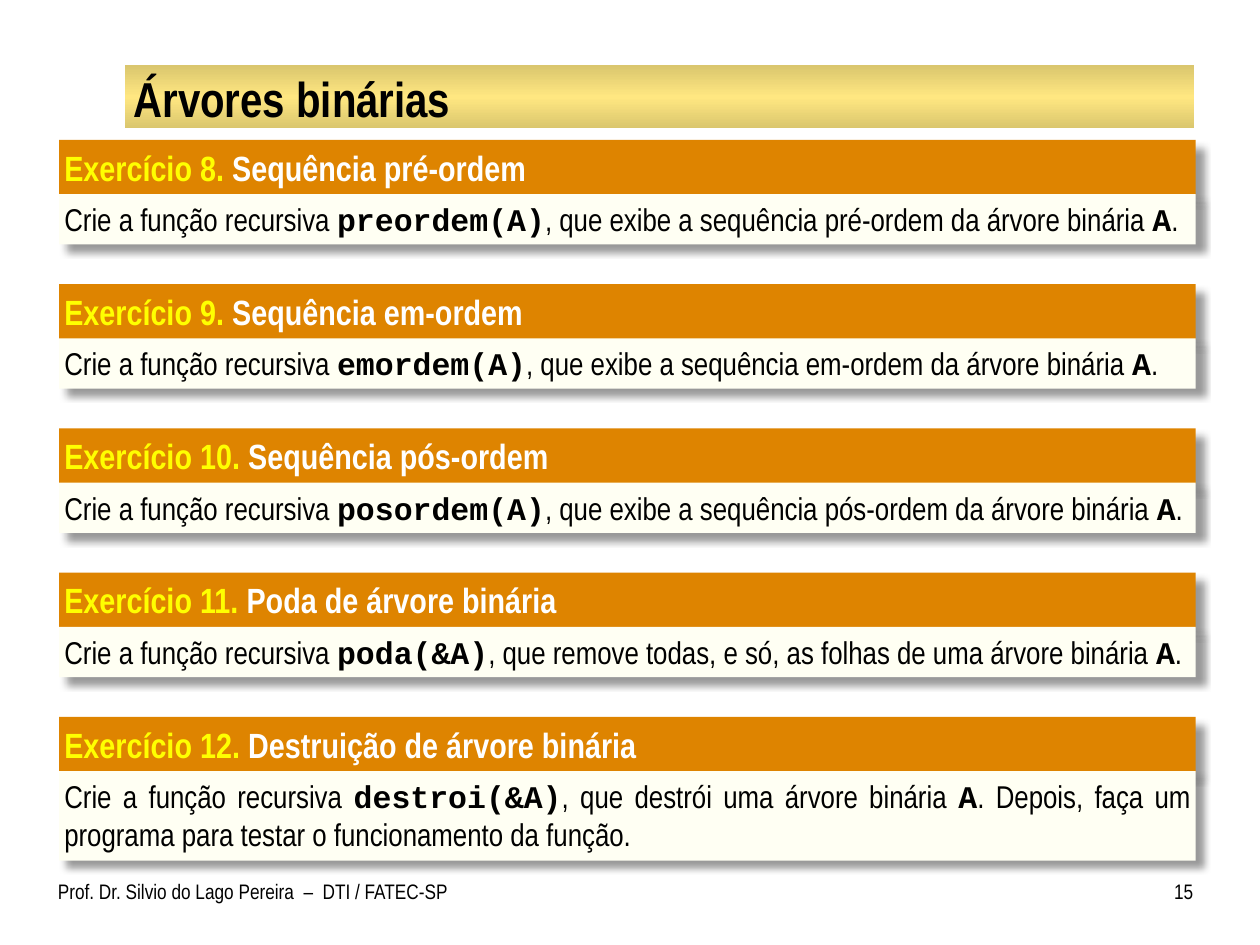
from lxml import etree
from pptx import Presentation
from pptx.dml.color import RGBColor
from pptx.enum.shapes import MSO_SHAPE
from pptx.enum.text import MSO_ANCHOR, MSO_AUTO_SIZE, PP_ALIGN
from pptx.oxml import parse_xml
from pptx.util import Inches, Pt

RECTANGLE = MSO_SHAPE.RECTANGLE
TOP, MIDDLE = MSO_ANCHOR.TOP, MSO_ANCHOR.MIDDLE
LEFT, RIGHT, JUSTIFY = PP_ALIGN.LEFT, PP_ALIGN.RIGHT, PP_ALIGN.JUSTIFY
NO_FIT = MSO_AUTO_SIZE.NONE
TITLE_ONLY = 5
DRAWING = "http://schemas.openxmlformats.org/drawingml/2006/main"
SANS, MONO = "Arial Narrow", "Courier New"
BLACK, WHITE, YELLOW, ORANGE, IVORY = "000000", "FFFFFF", "FFFF00", "DE8400", "FFFFF3"
GOLD_STOPS = [(0, "DAC66E"), (50, "FFE781"), (100, "DAC66E")]

TITLE = "Árvores binárias"
FOOTER = "Prof. Dr. Silvio do Lago Pereira  –  DTI / FATEC-SP"
PAGE = "15"
INTRO = "Crie a função recursiva "
EXERCISES = [
    ("Sequência pré-ordem", "preordem(A)",
     ", que exibe a sequência pré-ordem da árvore binária ", "."),
    ("Sequência em-ordem", "emordem(A)",
     ", que exibe a sequência em-ordem da árvore binária ", "."),
    ("Sequência pós-ordem", "posordem(A)",
     ", que exibe a sequência pós-ordem da árvore binária ", "."),
    ("Poda de árvore binária", "poda(&A)",
     ", que remove todas, e só, as folhas de uma árvore binária ", "."),
    ("Destruição de árvore binária", "destroi(&A)",
     ", que destrói uma árvore binária ",
     ". Depois, faça um programa para testar o funcionamento da função."),
]
FIRST_NUMBER = 8
CARD_LEFT, CARD_WIDTH = 0.47, 9.02
FIRST_TOP, LAST_TOP = 1.11, 5.69
PITCH = (LAST_TOP - FIRST_TOP) / (len(EXERCISES) - 1)
HEADER_HEIGHT, BODY_OFFSET = 0.44, 0.43
BODY_HEIGHT, LAST_BODY_HEIGHT = 0.4, 0.71


def color(value):
    return RGBColor.from_string(value)


def place(shape, box):
    shape.left, shape.top, shape.width, shape.height = map(Inches, box)


def write(shape, runs, size, insets, align=LEFT, anchor=TOP):
    frame = shape.text_frame
    frame.word_wrap = True
    frame.auto_size = NO_FIT
    frame.vertical_anchor = anchor
    (frame.margin_left, frame.margin_top,
     frame.margin_right, frame.margin_bottom) = map(Inches, insets)
    paragraph = frame.paragraphs[0]
    paragraph.alignment = align
    paragraph.font.size = Pt(size)
    for text, font, bold, fill in runs:
        run = paragraph.add_run()
        run.text = text
        run.font.name = font
        run.font.bold = bold
        run.font.color.rgb = color(fill)
    return paragraph


def add_rectangle(slide, box):
    shape = slide.shapes.add_shape(RECTANGLE, *map(Inches, box))
    shape.shadow.inherit = False
    shape.line.fill.background()
    return shape


def add_panel(slide, box, fill):
    shape = add_rectangle(slide, box)
    shape.fill.solid()
    shape.fill.fore_color.rgb = color(fill)
    effects = shape.element.spPr.find(f"{{{DRAWING}}}effectLst")
    effects.append(parse_xml(
        f'<a:outerShdw xmlns:a="{DRAWING}" blurRad="{Pt(4)}" dist="{Pt(6)}" '
        'dir="2700000" algn="tl" rotWithShape="0">'
        f'<a:srgbClr val="{BLACK}"><a:alpha val="40000"/></a:srgbClr></a:outerShdw>'))
    return shape


def add_title(slide):
    band = add_rectangle(slide, (0.99, 0.52, 8.49, 0.5))
    band.fill.gradient()
    band.fill.gradient_angle = 270
    stops = band.element.spPr.find(f".//{{{DRAWING}}}gsLst")
    for stop in list(stops):
        stops.remove(stop)
    for position, value in GOLD_STOPS:
        stop = etree.SubElement(stops, f"{{{DRAWING}}}gs", pos=str(position * 1000))
        etree.SubElement(stop, f"{{{DRAWING}}}srgbClr", val=value)
    title = slide.shapes.title
    title.element.addprevious(band.element)
    place(title, (1, 0.54, 8.47, 0.47))
    write(title, [(TITLE, SANS, True, BLACK)], 28, (0.06, 0.01, 0.06, 0.01), anchor=MIDDLE)


def add_exercise(slide, index, exercise):
    name, function, task, ending = exercise
    top = FIRST_TOP + index * PITCH
    is_last = index == len(EXERCISES) - 1
    header = add_panel(slide, (CARD_LEFT, top, CARD_WIDTH, HEADER_HEIGHT), ORANGE)
    write(header, [(f"Exercício {FIRST_NUMBER + index}.", SANS, True, YELLOW),
                   (f" {name}", SANS, True, WHITE)], 20, (0.04, 0.05, 0.1, 0.05))
    body_height = LAST_BODY_HEIGHT if is_last else BODY_HEIGHT
    body = add_panel(slide, (CARD_LEFT, top + BODY_OFFSET, CARD_WIDTH, body_height), IVORY)
    parts = [(INTRO, False), (function, True), (task, False), ("A", True), (ending, False)]
    runs = [(text, MONO if code else SANS, code, BLACK) for text, code in parts]
    paragraph = write(body, runs, 18, (0.04, 0.05, 0.04, 0.05), JUSTIFY)
    paragraph.space_before = Pt(6)


def add_note(slide, text, box, insets, align):
    note = slide.shapes.add_textbox(*map(Inches, box))
    write(note, [(text, SANS, False, BLACK)], 12, insets, align)


presentation = Presentation()
presentation.slide_width, presentation.slide_height = Inches(10), Inches(7.5)
slide = presentation.slides.add_slide(presentation.slide_layouts[TITLE_ONLY])
add_title(slide)
for index, exercise in enumerate(EXERCISES):
    add_exercise(slide, index, exercise)
add_note(slide, FOOTER, (0.46, 6.92, 3.27, 0.42), (0, 0.05, 0.1, 0.05), LEFT)
add_note(slide, PAGE, (9.08, 6.92, 0.39, 0.42), (0.1, 0.05, 0, 0.05), RIGHT)
presentation.save("out.pptx")
